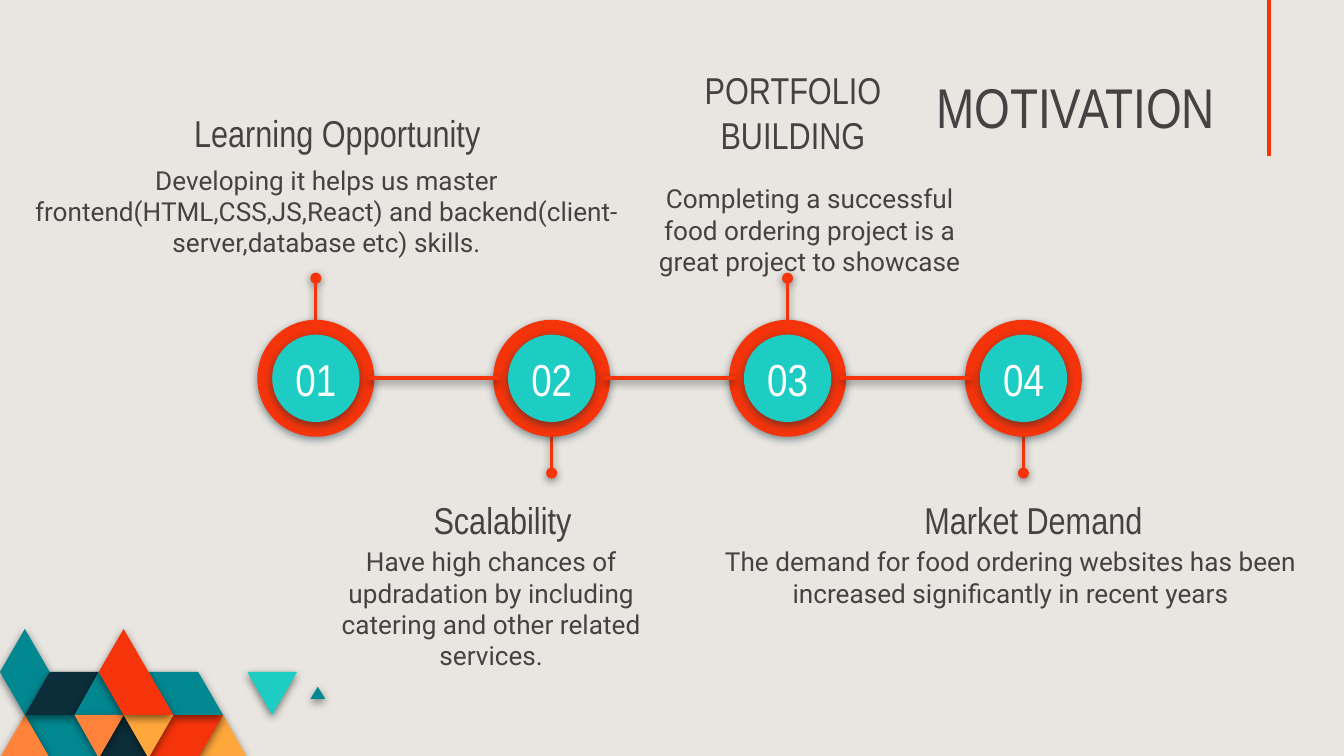
"""Build the Motivation slide: a four-step timeline with a triangle mosaic."""
import pptx
import pptx.util
import pptx.dml.color
import pptx.enum.shapes
import pptx.enum.text
import pptx.oxml

PX = 4572
RGB = pptx.dml.color.RGBColor
SAND = RGB(0xE9, 0xE6, 0xE1)
RED = RGB(0xF5, 0x34, 0x0B)
TEAL = RGB(0x01, 0x87, 0x90)
AQUA = RGB(0x1D, 0xCD, 0xC3)
NAVY = RGB(0x0C, 0x2E, 0x3A)
ORANGE = RGB(0xFF, 0x82, 0x3B)
AMBER = RGB(0xFF, 0xA7, 0x3B)
GREY = RGB(0x43, 0x43, 0x43)
WHITE = RGB(0xFF, 0xFF, 0xFF)
BLACK = RGB(0x00, 0x00, 0x00)
NS = 'xmlns:a="http://schemas.openxmlformats.org/drawingml/2006/main"'
ANCHOR = pptx.enum.text.MSO_ANCHOR
ALIGN = pptx.enum.text.PP_ALIGN
OVAL = pptx.enum.shapes.MSO_SHAPE.OVAL
STRAIGHT = pptx.enum.shapes.MSO_CONNECTOR.STRAIGHT


def add_shadow(sp, color):
    sp._element.spPr.append(pptx.oxml.parse_xml(
        f'<a:effectLst {NS}><a:outerShdw blurRad="57150" dist="19050" dir="5400000" '
        f'algn="bl" rotWithShape="0"><a:srgbClr val="{color}"><a:alpha val="50000"/>'
        f'</a:srgbClr></a:outerShdw></a:effectLst>'))


def add_text(box, text, size, font, color=GREY, anchor=ANCHOR.TOP, align=ALIGN.CENTER):
    s = slide.shapes.add_textbox(*[v * PX for v in box])
    tf = s.text_frame
    tf.word_wrap = True
    tf.vertical_anchor = anchor
    tf.margin_left = tf.margin_right = tf.margin_top = tf.margin_bottom = 20 * PX
    tf.text = text
    p = tf.paragraphs[0]
    p.alignment = align
    r = p.runs[0]
    r.font.size = pptx.util.Pt(size)
    r.font.name = font
    r.font.color.rgb = color
    return s


prs = pptx.Presentation()
prs.slide_width = 2000 * PX
prs.slide_height = 1125 * PX
slide = prs.slides.add_slide(prs.slide_layouts[6])
slide.background.fill.solid()
slide.background.fill.fore_color.rgb = SAND

rule = slide.shapes.add_connector(STRAIGHT, 1888 * PX, -350 * PX, 1888 * PX, 232 * PX)
rule.line.color.rgb = RED
rule.line.width = pptx.util.Pt(2.25)
rule._element.spPr.append(pptx.oxml.parse_xml(f'<a:effectLst {NS}/>'))

mosaic = [
    (AMBER, [(10, 3), (9, 2), (8, 3)]),
    (RED, [(9, 2), (7, 2), (6, 3), (8, 3)]),
    (TEAL, [(4, 3), (3, 2), (1, 2), (2, 3)]),
    (ORANGE, [(2, 3), (1, 2), (0, 3)]),
    (NAVY, [(6, 3), (5, 2), (4, 3)]),
    (TEAL, [(9, 2), (8, 1), (6, 1), (7, 2)]),
    (TEAL, [(13.13, 1.63), (12.84, 1.34), (12.54, 1.63)]),
    (AQUA, [(12, 1), (10, 1), (11, 2)]),
    (TEAL, [(2, 1), (1, 0), (0, 1), (1, 2)]),
    (NAVY, [(4, 1), (2, 1), (1, 2), (3, 2)]),
    (TEAL, [(5, 2), (4, 1), (3, 2)]),
    (ORANGE, [(5, 2), (3, 2), (4, 3)]),
    (AMBER, [(7, 2), (5, 2), (6, 3)]),
    (RED, [(7, 2), (5, 0), (4, 1), (5, 2)]),
]
for color, cells in mosaic:
    points = [(round(col * 36.85), round(936 + row * 64)) for col, row in cells]
    fb = slide.shapes.build_freeform(*points[0], scale=PX)
    fb.add_line_segments(points[1:], close=True)
    s = fb.convert_to_shape()
    s.fill.solid()
    s.fill.fore_color.rgb = color
    s.line.fill.background()
    add_shadow(s, BLACK)

add_text((1000, 102, 828, 126), "MOTIVATION", 30, "Arial Narrow",
         anchor=ANCHOR.BOTTOM, align=ALIGN.RIGHT).text_frame.paragraphs[0].line_spacing = 0.8

cy = 563
numbers = []
for i in range(4):
    cx = 470 + 351 * i
    start, end = (cy - 65, 414) if i % 2 == 0 else (cy + 65, 704)
    stem = slide.shapes.add_connector(STRAIGHT, cx * PX, start * PX, cx * PX, end * PX)
    stem.line.color.rgb = RED
    stem.line.width = pptx.util.Pt(1.5)
    stem.line._get_or_add_ln().append(pptx.oxml.parse_xml(f'<a:tailEnd {NS} type="oval"/>'))
    add_shadow(stem, BLACK)
    for size, color in ((174, RED), (130, AQUA)):
        s = slide.shapes.add_shape(OVAL, (cx - size // 2) * PX, (cy - size // 2) * PX,
                                   size * PX, size * PX)
        s.fill.solid()
        s.fill.fore_color.rgb = color
        s.line.fill.background()
        add_shadow(s, NAVY)
    numbers.append(add_text((cx - 78, cy - 49, 156, 98), f"0{i + 1}", 24, "Arial Narrow",
                            WHITE, ANCHOR.MIDDLE))

for left, right in zip(numbers, numbers[1:]):
    link = slide.shapes.add_connector(STRAIGHT, 0, 0, 0, 0)
    link.begin_connect(left, 3)
    link.end_connect(right, 1)
    link.line.color.rgb = RED
    link.line.width = pptx.util.Pt(2.25)
    add_shadow(link, BLACK)

steps = [
    ("Learning Opportunity", (228, 144, 548, 86),
     "Developing it helps us master frontend(HTML,CSS,JS,React) and "
     "backend(client-server,database etc) skills.", (-2, 224, 976, 172)),
    ("Scalability", (442, 720, 612, 86),
     "Have high chances of updradation by including catering and other related services.",
     (470, 792, 522, 116)),
    ("PORTFOLIO BUILDING", (1018, 80, 324, 86),
     "Completing a successful food ordering project is a great project to showcase",
     (944, 252, 522, 116)),
    ("Market Demand", (1258, 720, 560, 86),
     "The demand for food ordering websites has been increased significantly in recent years",
     (1032, 792, 944, 116)),
]
for heading, heading_box, body, body_box in steps:
    add_text(body_box, body, 14, "Roboto")
    add_text(heading_box, heading, 20, "Arial Narrow")

prs.save("out.pptx")
